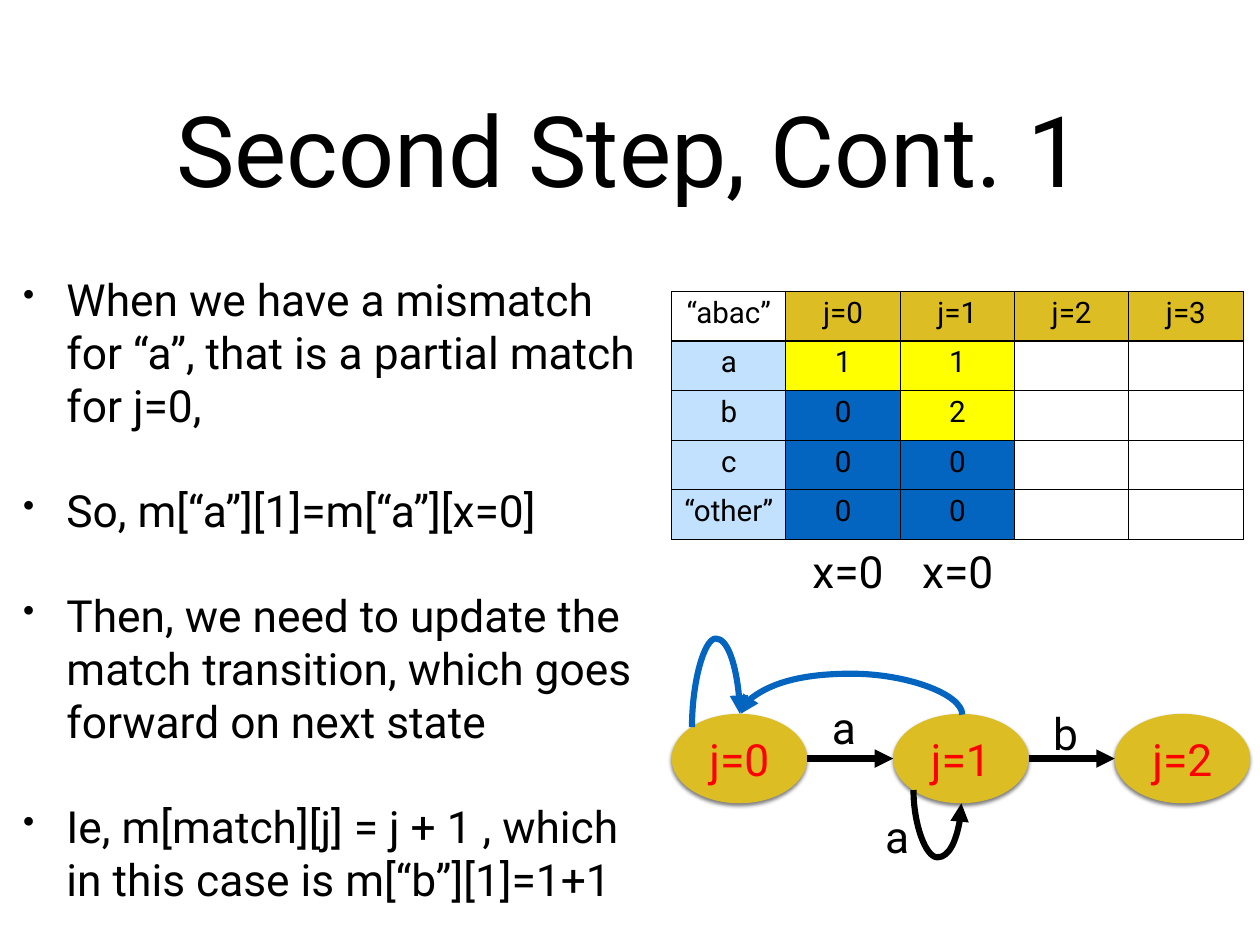
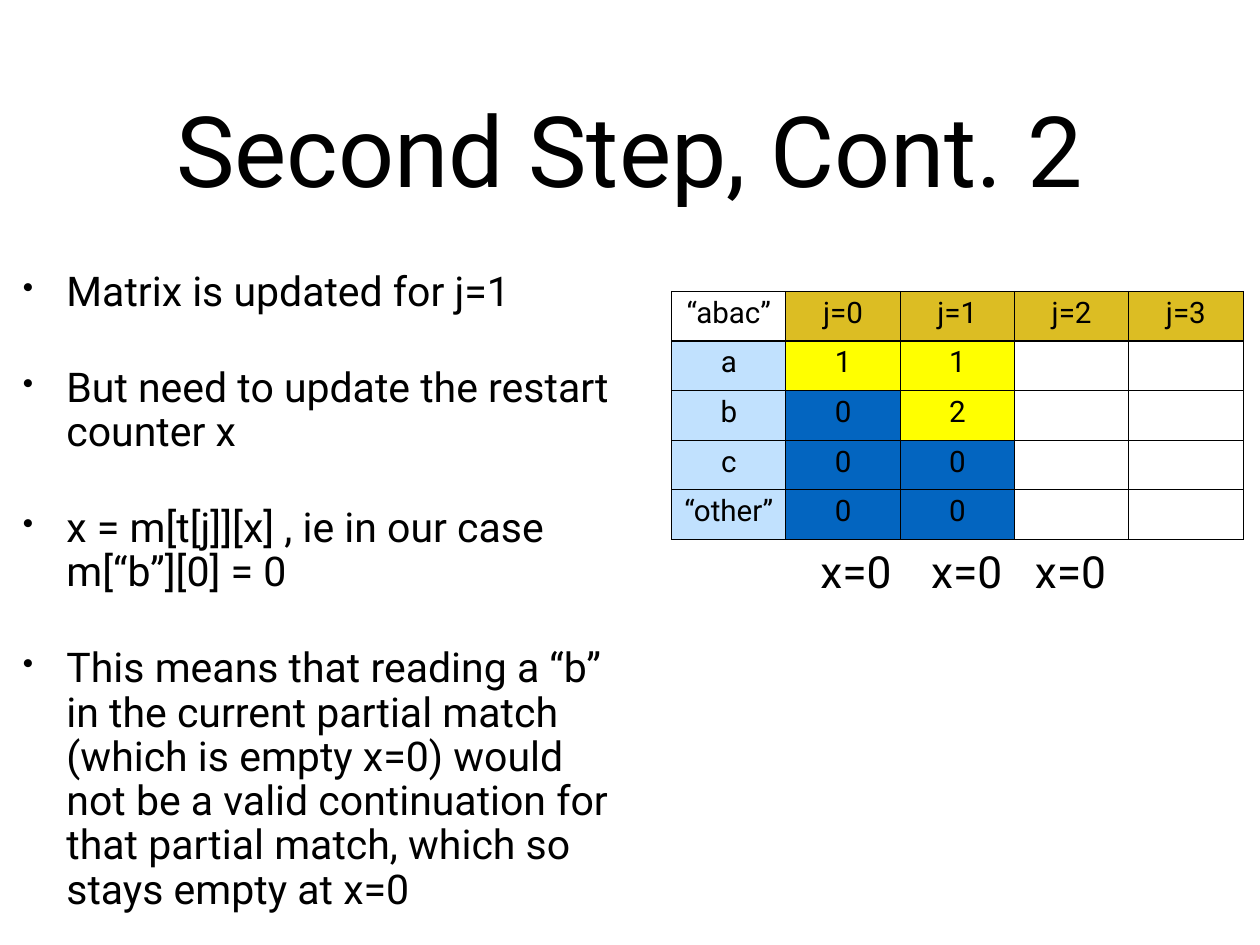
"""Build two slides on filling the matcher's transition table."""
from lxml import etree
from pptx import Presentation
from pptx.dml.color import RGBColor
from pptx.enum.shapes import MSO_CONNECTOR as CONN, MSO_SHAPE as SHAPE
from pptx.enum.text import MSO_ANCHOR as ANCHOR, MSO_AUTO_SIZE as AUTO, PP_ALIGN as ALIGN
from pptx.oxml.ns import qn
from pptx.util import Inches, Pt

FONT = "Roboto"
BLACK = RGBColor(0x00, 0x00, 0x00)
RED = RGBColor(0xFF, 0x00, 0x00)
GOLD = RGBColor(0xDC, 0xBD, 0x23)
SKY = RGBColor(0xC1, 0xE1, 0xFE)
YELLOW = RGBColor(0xFF, 0xFF, 0x00)
BLUE = RGBColor(0x03, 0x65, 0xC0)

SLIDES = [
    dict(
        title="Second Step, Cont. 1",
        bullets=[
            "When we have a mismatch for “a”, that is a partial match for j=0,",
            "So, m[“a”][1]=m[“a”][x=0]",
            "Then, we need to update the match transition, which goes forward on next state",
            "Ie, m[match][j] = j + 1 , which in this case is m[“b”][1]=1+1",
        ],
        body=(0.2, 2.85, 7.19, 7.59), size=36, line=1.0,
        counters=[9.08, 10.32], automaton=True,
    ),
    dict(
        title="Second Step, Cont. 2",
        bullets=[
            "Matrix is updated for j=1",
            "But need to update the restart counter x",
            "x = m[t[j]][x] , ie in our case m[“b”][0] = 0",
            "This means that reading a “b” in the current partial match (which is empty x=0) "
            "would not be a valid continuation for that partial match, which so stays empty at x=0",
        ],
        body=(0.2, 2.85, 6.93, 7.67), size=33.3, line=0.9,
        counters=[9.17, 10.42, 11.59], automaton=False,
    ),
]

MATRIX = [
    ["“abac”", "j=0", "j=1", "j=2", "j=3"],
    ["a", "1", "1", "", ""],
    ["b", "0", "2", "", ""],
    ["c", "0", "0", "", ""],
    ["“other”", "0", "0", "", ""],
]
MATRIX_LEFT, MATRIX_TOP, COL_W, ROW_H = 7.58, 3.29, 1.29, 0.56

STATES = ["j=0", "j=1", "j=2"]
STATE_LEFT, STATE_TOP, STATE_W, STATE_H, STATE_STEP = 7.58, 8.06, 1.53, 1.01, 2.5
EDGE_LABELS = [("a", 9.33, 7.85), ("b", 11.83, 7.91), ("a", 9.93, 9.08)]
CURVES = [
    dict(start=(7.81, 8.21), end=(8.35, 8.06), peak=7.21, rot=90, color=BLUE),
    dict(start=(10.31, 8.92), end=(10.85, 9.07), peak=9.68, rot=270, color=BLACK),
    dict(start=(10.86, 8.07), end=(8.36, 8.06), peak=7.6, rot=270, color=BLUE),
]


def add_xml(parent, tag, **attrs):
    return etree.SubElement(parent, qn(tag), {k: str(v) for k, v in attrs.items()})


def write(tf, lines, size=36, color=BLACK, align=ALIGN.CENTER, anchor=ANCHOR.MIDDLE,
          wrap=True, bullet=False, line=None, before=0, inset=0.06):
    tf.auto_size, tf.word_wrap, tf.vertical_anchor = AUTO.NONE, wrap, anchor
    tf.margin_left = tf.margin_right = tf.margin_top = tf.margin_bottom = Inches(inset)
    for i, text in enumerate(lines):
        p = tf.add_paragraph() if i else tf.paragraphs[0]
        p.alignment = align
        p.space_before = Pt(before if i else 0)
        if line:
            p.line_spacing = line
        if bullet:
            pPr = p._p.get_or_add_pPr()
            pPr.set("marL", str(Inches(0.49)))
            pPr.set("indent", str(-Inches(0.49)))
            add_xml(pPr, "a:buSzPct", val=75000)
            add_xml(pPr, "a:buChar", char="•")
        r = p.add_run()
        r.text = text
        r.font.name, r.font.size, r.font.color.rgb = FONT, Pt(size), color


def add_text(s, lines, x, y, w, h, **fmt):
    box = s.shapes.add_textbox(Inches(x), Inches(y), Inches(w), Inches(h))
    write(box.text_frame, lines, **fmt)


def cell_color(row, col, text):
    if row == 0:
        return GOLD if col else None
    if col == 0:
        return SKY
    return {"": None, "0": BLUE}.get(text, YELLOW)


def add_matrix(s):
    rows, cols = len(MATRIX), len(MATRIX[0])
    table = s.shapes.add_table(rows, cols, Inches(MATRIX_LEFT), Inches(MATRIX_TOP),
                               Inches(COL_W * cols), Inches(ROW_H * rows)).table
    table.first_row = table.horz_banding = False
    for i, row in enumerate(MATRIX):
        table.rows[i].height = Inches(ROW_H)
        for j, text in enumerate(row):
            cell = table.cell(i, j)
            tcPr = cell._tc.get_or_add_tcPr()
            for side in ("a:lnL", "a:lnR", "a:lnT", "a:lnB"):
                ln = add_xml(tcPr, side, w=Pt(1))
                add_xml(add_xml(ln, "a:solidFill"), "a:srgbClr", val=BLACK)
            color = cell_color(i, j, text)
            if color is None:
                cell.fill.background()
            else:
                cell.fill.solid()
                cell.fill.fore_color.rgb = color
            if text:
                p = cell.text_frame.paragraphs[0]
                p.alignment = ALIGN.CENTER
                r = p.add_run()
                r.text = text
                r.font.name, r.font.size, r.font.color.rgb = FONT, Pt(24), BLACK


def add_state(s, name, x):
    sp = s.shapes.add_shape(SHAPE.OVAL, Inches(x), Inches(STATE_TOP),
                            Inches(STATE_W), Inches(STATE_H))
    sp.fill.solid()
    sp.fill.fore_color.rgb = GOLD
    sp.line.fill.background()
    effects = add_xml(sp._element.spPr, "a:effectLst")
    shadow = add_xml(effects, "a:outerShdw", blurRad=Pt(3), dist=Pt(2),
                     dir=90 * 60000, rotWithShape=0)
    add_xml(add_xml(shadow, "a:srgbClr", val=BLACK), "a:alpha", val=50000)
    write(sp.text_frame, [name], color=RED)


def add_arrow(s, x1, y1, x2, y2, kind=CONN.STRAIGHT, color=BLACK):
    c = s.shapes.add_connector(kind, Inches(x1), Inches(y1), Inches(x2), Inches(y2))
    c.line.color.rgb, c.line.width = color, Pt(5)
    add_xml(c.line._get_or_add_ln(), "a:tailEnd", type="triangle")
    add_xml(c._element.spPr, "a:effectLst")
    return c


def add_curve(s, start, end, peak, rot, color):
    (x1, y1), (x2, y2) = start, end
    w, h = abs(y2 - y1), abs(x2 - x1)
    left, top = (x1 + x2 - w) / 2, (y1 + y2 - h) / 2
    c = add_arrow(s, left, top, left + w, top + h, CONN.CURVE, color)
    spPr = c._element.spPr
    xfrm = spPr.find(qn("a:xfrm"))
    xfrm.set("rot", str(rot * 60000))
    xfrm.set("flipH", str(int((y2 < y1) == (rot == 90))))
    xfrm.set("flipV", str(int((x2 > x1) == (rot == 90))))
    bend = round((peak - y1) / (y2 - y1) * 100000)
    guides = spPr.find(qn("a:prstGeom")).get_or_add_avLst()
    add_xml(guides, "a:gd", name="adj1", fmla=f"val {bend}")


def add_automaton(s):
    lefts = [STATE_LEFT + i * STATE_STEP for i in range(len(STATES))]
    middle = STATE_TOP + STATE_H / 2
    for name, x in zip(STATES, lefts):
        add_state(s, name, x)
    for x, following in zip(lefts, lefts[1:]):
        add_arrow(s, x + STATE_W, middle, following, middle)
    for curve in CURVES:
        add_curve(s, **curve)
    for text, x, y in EDGE_LABELS:
        add_text(s, [text], x, y, 0.39, 0.72, wrap=False)


def add_slide(prs, content):
    s = prs.slides.add_slide(prs.slide_layouts[5])
    title = s.shapes.title
    title.left, title.top, title.width, title.height = map(Inches, (1.04, 0.49, 12.14, 2.36))
    write(title.text_frame, [content["title"]], size=80)
    add_text(s, content["bullets"], *content["body"], size=content["size"],
             line=content["line"], align=ALIGN.LEFT, bullet=True, before=42)
    add_matrix(s)
    for x in content["counters"]:
        add_text(s, ["x=0"], x, MATRIX_TOP + ROW_H * len(MATRIX), 0.98, 0.72, wrap=False)
    if content["automaton"]:
        add_automaton(s)


def main():
    prs = Presentation()
    prs.slide_width, prs.slide_height = Inches(14.22), Inches(10.67)
    for content in SLIDES:
        add_slide(prs, content)
    prs.save("out.pptx")


if __name__ == "__main__":
    main()
